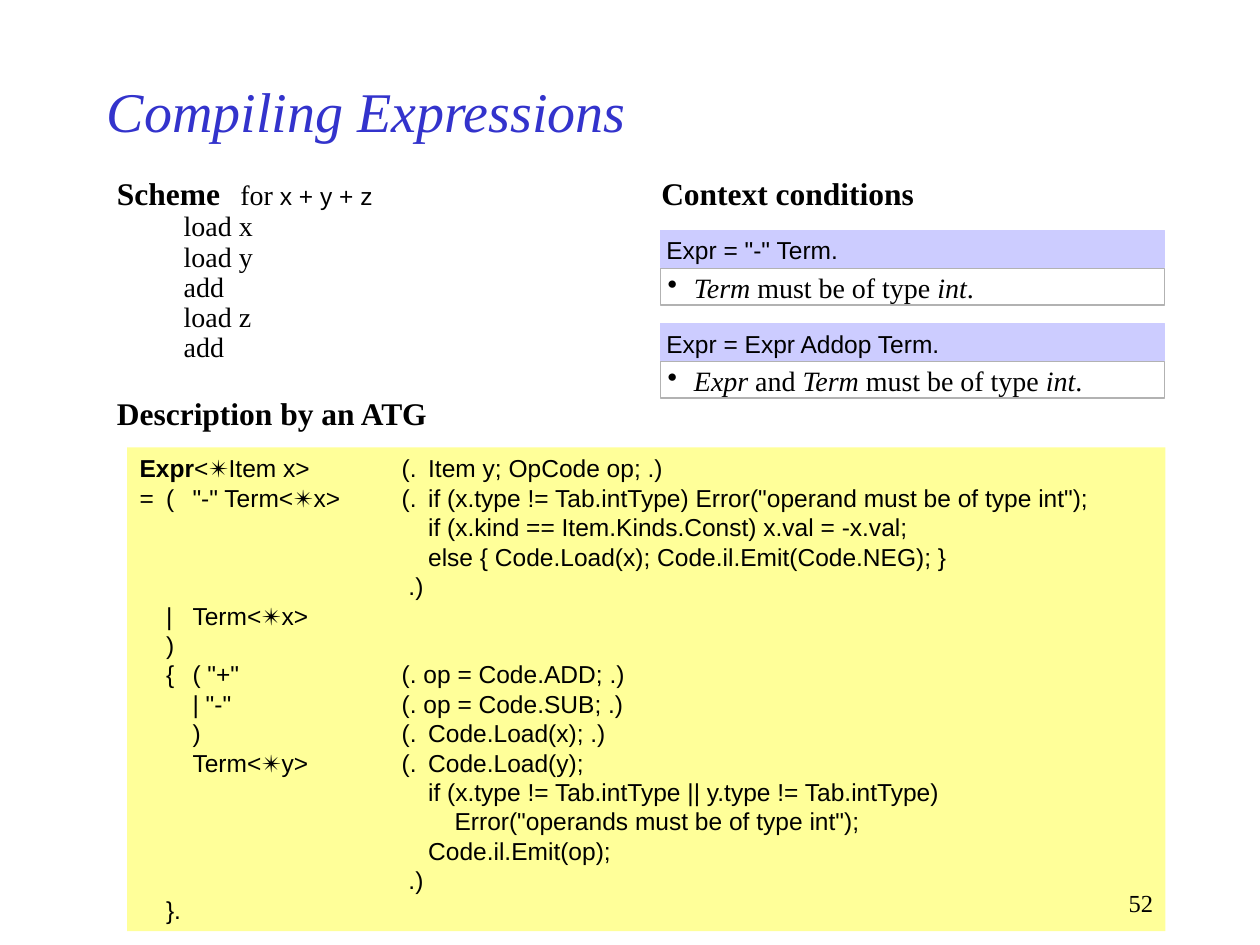
from dataclasses import dataclass

from lxml import etree
from pptx import Presentation
from pptx.dml.color import RGBColor
from pptx.enum.shapes import MSO_SHAPE
from pptx.enum.text import MSO_ANCHOR, PP_ALIGN
from pptx.oxml.ns import qn
from pptx.util import Inches, Pt

RECTANGLE = MSO_SHAPE.RECTANGLE
TOP, MIDDLE = MSO_ANCHOR.TOP, MSO_ANCHOR.MIDDLE
LEFT, RIGHT = PP_ALIGN.LEFT, PP_ALIGN.RIGHT


@dataclass(frozen=True)
class Theme:
    serif: str = "Times New Roman"
    sans: str = "Arial"
    symbol: str = "Calibri"
    black: RGBColor = RGBColor(0x00, 0x00, 0x00)
    title: RGBColor = RGBColor(0x33, 0x33, 0xCC)
    code_fill: RGBColor = RGBColor(0xFF, 0xFF, 0x99)
    rule_fill: RGBColor = RGBColor(0xCC, 0xCC, 0xFF)
    outline: RGBColor = RGBColor(0xB2, 0xB2, 0xB2)
    title_size: Pt = Pt(32)
    heading_size: Pt = Pt(18)
    body_size: Pt = Pt(16)
    code_size: Pt = Pt(14)


theme = Theme()
HEADING = dict(name=theme.serif, size=theme.heading_size, bold=True)
BODY = dict(name=theme.serif, size=theme.body_size)
CODE = dict(name=theme.sans, size=theme.code_size)
ITALIC = dict(italic=True)

presentation = Presentation()
presentation.slide_width, presentation.slide_height = Inches(10), Inches(7.5)
slide = presentation.slides.add_slide(presentation.slide_layouts[6])


def add_rectangle(left, top, width, height, fill=None, line=None):
    shape = slide.shapes.add_shape(
        RECTANGLE, Inches(left), Inches(top), Inches(width), Inches(height))
    shape.shadow.inherit = False
    if fill is None:
        shape.fill.background()
    else:
        shape.fill.solid()
        shape.fill.fore_color.rgb = fill
    if line is None:
        shape.line.fill.background()
    else:
        shape.line.color.rgb = line
        shape.line.width = Pt(0.75)
    return shape


def write(box, lines, font, tabs=(), bullet=False, align=LEFT, anchor=TOP,
          wrap=False, color=theme.black, spacing=None):
    """Fill a shape, or a new text box at (left, top, width, height).

    Each line is a list of (text, font overrides) pairs.
    """
    if isinstance(box, tuple):
        box = slide.shapes.add_textbox(*map(Inches, box))
    frame = box.text_frame
    frame.word_wrap = wrap
    frame.vertical_anchor = anchor
    for number, runs in enumerate(lines):
        paragraph = frame.paragraphs[0] if number == 0 else frame.add_paragraph()
        paragraph.alignment = align
        properties = paragraph._p.get_or_add_pPr()
        if bullet:
            properties.set("marL", str(Inches(0.21)))
            properties.set("indent", str(-Inches(0.21)))
            etree.SubElement(properties, qn("a:buChar"), char="•")
        if tabs:
            tab_list = etree.SubElement(properties, qn("a:tabLst"))
            for stop in tabs:
                etree.SubElement(tab_list, qn("a:tab"), pos=str(Inches(stop)), algn="l")
        if spacing:
            paragraph.line_spacing = spacing
        paragraph.font.color.rgb = color
        for attribute, value in font.items():
            setattr(paragraph.font, attribute, value)
        for text, overrides in runs:
            run = paragraph.add_run()
            run.text = text
            for attribute, value in overrides.items():
                setattr(run.font, attribute, value)


# Title and load scheme
write((0.75, 0.5, 7.5, 0.75), [[("Compiling Expressions", {})]],
      dict(name=theme.serif, size=theme.title_size, italic=True),
      anchor=MIDDLE, wrap=True, color=theme.title)
write((0.83, 1.33, 2.4, 0.4),
      [[("Scheme", HEADING), ("\tfor ", {}), ("x + y + z", CODE)]],
      BODY, tabs=[0.98])
instructions = ["load x", "load y", "add", "load z", "add"]
write((1.36, 1.64, 0.85, 1.3), [[(text, {})] for text in instructions],
      BODY, spacing=0.9)

# Attributed grammar
write((0.83, 3.08, 2.9, 0.4), [[("Description by an ATG", {})]], HEADING)
CODE_LINES = [
    "Expr<✴Item x>\t(.\tItem y; OpCode op; .)",
    "=\t(\t\"-\" Term<✴x>\t(.\tif (x.type != Tab.intType) Error(\"operand must be of type int\");",
    "\t\t\t\tif (x.kind == Item.Kinds.Const) x.val = -x.val;",
    "\t\t\t\telse { Code.Load(x); Code.il.Emit(Code.NEG); }",
    "\t\t\t .)",
    "\t|\tTerm<✴x>",
    "\t)",
    "\t{\t( \"+\"\t(. op = Code.ADD; .)",
    "\t\t| \"-\"\t(. op = Code.SUB; .)",
    "\t\t)\t(.\tCode.Load(x); .)",
    "\t\tTerm<✴y>\t(.\tCode.Load(y);",
    "\t\t\t\tif (x.type != Tab.intType || y.type != Tab.intType)",
    "\t\t\t\t\tError(\"operands must be of type int\");",
    "\t\t\t\tCode.il.Emit(op);",
    "\t\t\t .)",
    "\t}.",
]
code_runs = []
for line in CODE_LINES:
    before, arrow, after = line.partition("✴")
    runs = [(before, {}), (arrow, dict(name=theme.symbol)), (after, {})]
    if line.startswith("Expr"):
        runs[:1] = [("Expr", dict(bold=True)), (before.removeprefix("Expr"), {})]
    code_runs.append([run for run in runs if run[0]])
code_box = add_rectangle(1.01, 3.55, 8.24, 3.84, fill=theme.code_fill)
write(code_box, code_runs, CODE, tabs=[0.21, 0.42, 2.08, 2.29, 2.5, 3, 4], wrap=True)

# Context conditions
write((5.15, 1.33, 2.4, 0.4), [[("Context conditions", {})]], HEADING)
conditions = [
    ("Expr = \"-\" Term.",
     [("Term", ITALIC), (" must be of type ", {}), ("int", ITALIC), (".", {})]),
    ("Expr = Expr Addop Term.",
     [("Expr", ITALIC), (" and ", {}), ("Term", ITALIC),
      (" must be of type ", {}), ("int", ITALIC), (".", {})]),
]
for index, (rule, condition) in enumerate(conditions):
    top = 1.83 + 0.74 * index
    add_rectangle(5.24, top + 0.3, 4, 0.29, line=theme.outline)
    add_rectangle(5.24, top, 4, 0.29, fill=theme.rule_fill, line=theme.rule_fill)
    write((5.19, top - 0.01, 2.6, 0.34), [[(rule, {})]], CODE)
    write((5.2, top + 0.27, 3.7, 0.37), [condition], BODY, bullet=True)

# Page number
write((7.17, 7, 2.08, 0.33), [[("52", {})]],
      dict(name=theme.serif, size=theme.code_size), align=RIGHT, wrap=True)

presentation.save("out.pptx")
